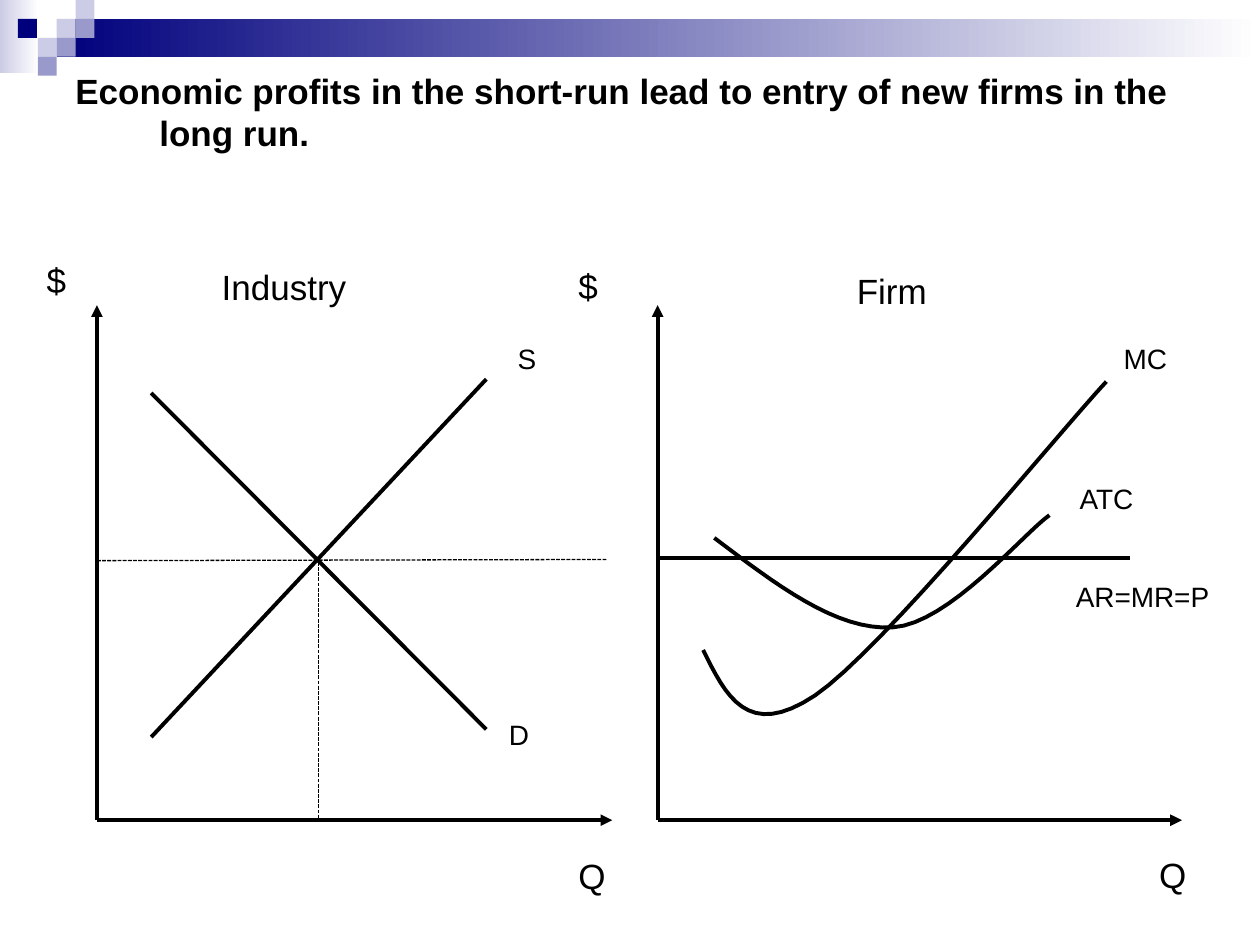
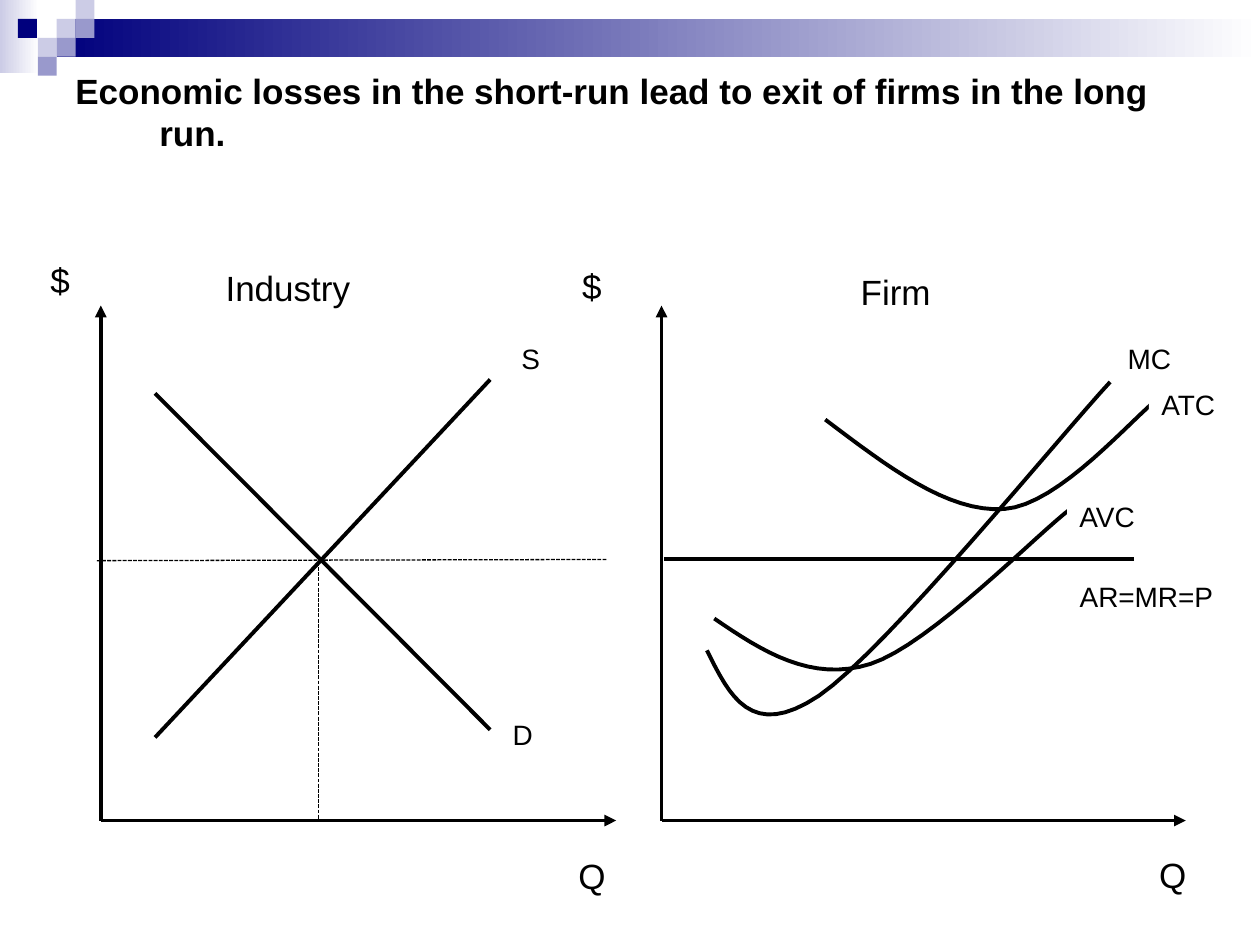
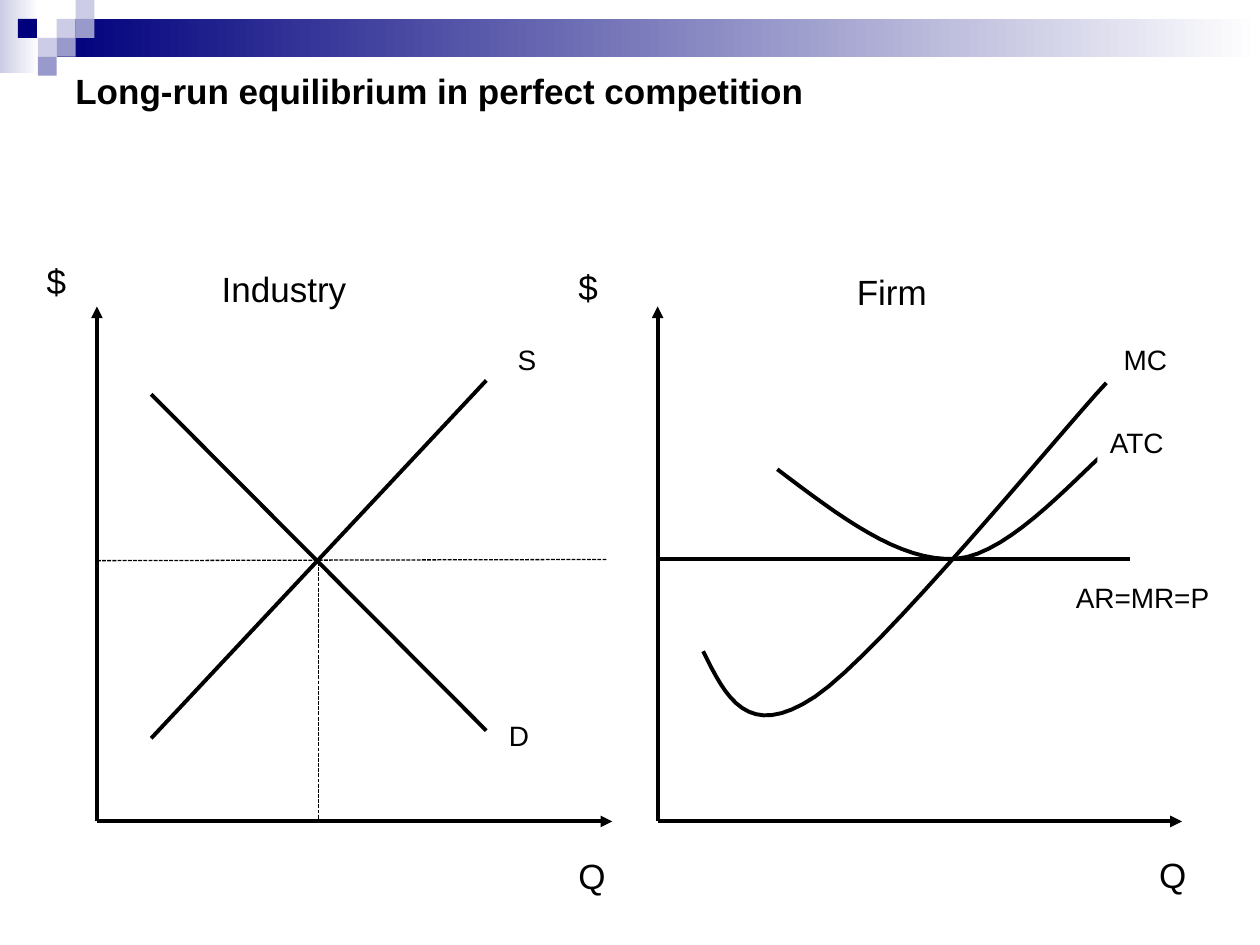
"""Build three slides on short-run and long-run outcomes in perfect competition."""
import pptx
import pptx.dml.color
import pptx.enum.dml
import pptx.enum.shapes
import pptx.enum.text
import pptx.oxml.ns
import pptx.util
from lxml import etree

Pt = pptx.util.Pt
FONT = "Arial"
COLORS = {
    "ink": "000000",
    "paper": "FFFFFF",
    "navy": "00007D",
    "violet": "9999CC",
    "lilac": "CCCCE6",
}

GRID = 10.8
BANDS = [
    ("lilac", (0, 0, 22.3, 41.8)),
    ("navy", (32.4, 10.8, 687.6, 21.6)),
]
SQUARES = [
    ("lilac", 3, 1),
    ("lilac", 4, 0),
    ("violet", 4, 1),
    ("lilac", 2, 2),
    ("navy", 0.95, 1),
    ("violet", 3, 2),
    ("violet", 2, 3),
]

AXES = [
    (55.4, 468.7, 55.4, 174.4),
    (55.4, 468.7, 349.9, 468.7),
    (375.8, 468.7, 675.4, 468.7),
    (375.8, 468.7, 375.8, 174.4),
]
SCHEDULES = [
    (86.4, 421.2, 277.9, 216.7),
    (86.4, 224.6, 277.9, 416.8),
    (645.8, 319, 377.3, 319),
]
POINT_MARK = (567.4, 417.6, 567.4, 417.6)
EQUILIBRIUM_GUIDES = [
    (55.4, 320.4, 347, 319.7),
    (182.2, 321.1, 182.2, 469.4),
]

MARGINAL_COST_START = (401.8, 371.5)
CURVES = {
    "MC": [(0, 0), (12.9, 25.9), (25.2, 51.8), (64, 25.9),
           (102.2, 0), (202.3, -123.1), (230.4, -153.4)],
    "ATC": [(0, 0), (35.3, 26.6), (69.8, 53.3), (102.2, 51.1),
            (133.9, 49), (176.4, -2.2), (191.5, -13)],
    "AVC": [(0, 0), (27.4, 18.7), (55.4, 36.7), (89.3, 25.9),
            (123.1, 15.1), (185, -49), (204.5, -63.4)],
}
CURVE_STEPS = 16

HEADINGS = [
    ("Industry", 118.8, 147.6, 105.1),
    ("Firm", 481.7, 149.8, 70.6),
    ("$", 18.7, 143.3, 25.2),
    ("$", 322.6, 146.9, 25.2),
]
QUANTITIES = [("Q", 654.5, 483.1, 25.2), ("Q", 322.6, 483.8, 25.2)]
CURVE_LABELS = [
    ("MC", 635, 191.7, 59),
    ("AR=MR=P", 607.7, 327.6, 110.2),
    ("S", 288.7, 191.7, 26.6),
    ("D", 283.7, 406.3, 31.7),
]

SLIDES = [
    {
        "title": "Economic profits in the short-run lead to entry of new firms in the long run.",
        "shift": (0, 0),
        "costs": [("ATC", 408.2, 307.4)],
        "labels": [("ATC", 609.8, 271.4, 79.9)],
    },
    {
        "title": "Economic losses in the short-run lead to exit of firms in the long run.",
        "shift": (2.2, 0.2),
        "costs": [("ATC", 471.6, 239.8), ("AVC", 408.2, 353.5)],
        "labels": [("AVC", 609.8, 282.2, 74.2), ("ATC", 656.6, 218.2, 47.5)],
    },
    {
        "title": "Long-run equilibrium in perfect competition",
        "shift": (0, 0.7),
        "costs": [("ATC", 444.2, 268.2)],
        "labels": [("ATC", 627.1, 239.8, 79.9)],
    },
]


def color(name):
    return pptx.dml.color.RGBColor.from_string(COLORS[name])


def add_block(slide, name, box, fade=False):
    shape = slide.shapes.add_shape(
        pptx.enum.shapes.MSO_SHAPE.RECTANGLE, *[Pt(length) for length in box])
    shape.shadow.inherit = False
    shape.line.fill.background()
    if fade:
        shape.fill.gradient()
        shape.fill.gradient_angle = 0
        for stop, (tone, position) in zip(shape.fill.gradient_stops, [(name, 0), ("paper", 1)]):
            stop.color.rgb = color(tone)
            stop.position = position
    else:
        shape.fill.solid()
        shape.fill.fore_color.rgb = color(name)


def add_text(slide, text, box, size=16, bold=False, inset=(7.2, 3.6), hanging=0, fill=None):
    shape = slide.shapes.add_textbox(*[Pt(length) for length in box])
    if fill:
        shape.fill.solid()
        shape.fill.fore_color.rgb = color(fill)
    frame = shape.text_frame
    frame.word_wrap = True
    frame.vertical_anchor = pptx.enum.text.MSO_ANCHOR.TOP
    frame.margin_left = frame.margin_right = Pt(inset[0])
    frame.margin_top = frame.margin_bottom = Pt(inset[1])
    paragraph = frame.paragraphs[0]
    if hanging:
        properties = paragraph._p.get_or_add_pPr()
        properties.set("marL", str(Pt(hanging)))
        properties.set("indent", str(-Pt(hanging)))
    run = paragraph.add_run()
    run.text = text
    run.font.name = FONT
    run.font.size = Pt(size)
    run.font.bold = bold
    run.font.color.rgb = color("ink")


def add_line(slide, ends, shift=(0, 0), width=2.25, arrow=False, dashed=False):
    points = [Pt(value + shift[index % 2]) for index, value in enumerate(ends)]
    connector = slide.shapes.add_connector(pptx.enum.shapes.MSO_CONNECTOR.STRAIGHT, *points)
    connector.line.color.rgb = color("ink")
    connector.line.width = Pt(width)
    if dashed:
        connector.line.dash_style = pptx.enum.dml.MSO_LINE.SQUARE_DOT
    if arrow:
        outline = connector.line._get_or_add_ln()
        etree.SubElement(outline, pptx.oxml.ns.qn("a:tailEnd"), type="triangle")
    etree.SubElement(connector._element.spPr, pptx.oxml.ns.qn("a:effectLst"))


def curve_points(controls):
    points = [controls[0]]
    for first in range(0, len(controls) - 1, 3):
        segment = controls[first:first + 4]
        for step in range(1, CURVE_STEPS + 1):
            t = step / CURVE_STEPS
            weights = ((1 - t) ** 3, 3 * t * (1 - t) ** 2, 3 * t * t * (1 - t), t ** 3)
            points.append(tuple(
                sum(weight * control[axis] for weight, control in zip(weights, segment))
                for axis in (0, 1)))
    return points


def add_curve(slide, name, left, top):
    points = [(Pt(left + x), Pt(top + y)) for x, y in curve_points(CURVES[name])]
    builder = slide.shapes.build_freeform(*points[0])
    builder.add_line_segments(points[1:], close=False)
    shape = builder.convert_to_shape()
    shape.shadow.inherit = False
    shape.fill.background()
    shape.line.color.rgb = color("ink")
    shape.line.width = Pt(2.25)


def add_labels(slide, labels, shift=(0, 0), height=24.5, **style):
    for text, left, top, width in labels:
        box = (left + shift[0], top + shift[1], width, height)
        add_text(slide, text, box, fill="paper", **style)


def add_header(slide, title):
    for name, box in BANDS:
        add_block(slide, name, box, fade=True)
    for name, column, row in SQUARES:
        add_block(slide, name, (column * GRID, row * GRID, GRID, GRID))
    add_text(slide, title, (36, 36, 648, 462.2), size=20, bold=True, hanging=48)


def add_graphs(slide, content):
    shift = content["shift"]
    for axis in AXES:
        add_line(slide, axis, shift, arrow=True)
    for schedule in SCHEDULES:
        add_line(slide, schedule, shift)
    left, top = MARGINAL_COST_START
    add_curve(slide, "MC", left + shift[0], top + shift[1])
    for cost in content["costs"]:
        add_curve(slide, *cost)
    heading_style = {"size": 20, "height": 27.4, "inset": (7.9, 4.3)}
    add_labels(slide, HEADINGS, shift, **heading_style)
    add_labels(slide, CURVE_LABELS, shift)
    add_labels(slide, content["labels"])
    add_line(slide, POINT_MARK, shift, width=0.75)
    add_labels(slide, QUANTITIES, **heading_style)
    for guide in EQUILIBRIUM_GUIDES:
        add_line(slide, guide, width=0.75, dashed=True)


def main():
    presentation = pptx.Presentation()
    presentation.slide_width = Pt(720)
    presentation.slide_height = Pt(540)
    for content in SLIDES:
        slide = presentation.slides.add_slide(presentation.slide_layouts[6])
        add_header(slide, content["title"])
        add_graphs(slide, content)
    presentation.save("out.pptx")


if __name__ == "__main__":
    main()
